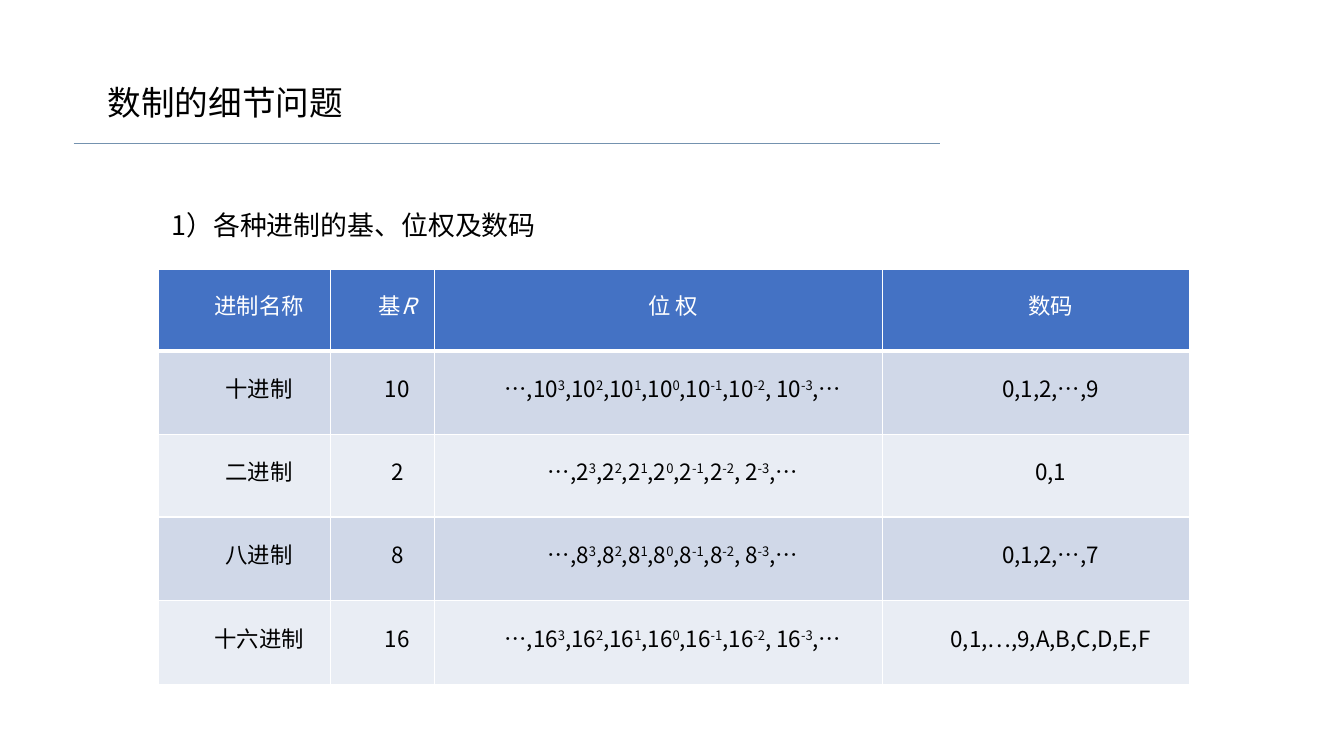
from dataclasses import dataclass

from lxml.etree import SubElement
from pptx import Presentation
from pptx.dml.color import RGBColor
from pptx.enum.shapes import MSO_CONNECTOR
from pptx.enum.text import MSO_ANCHOR, MSO_AUTO_SIZE, PP_ALIGN
from pptx.oxml.ns import qn
from pptx.slide import Slide
from pptx.table import _Cell
from pptx.text.text import _Paragraph
from pptx.util import Inches, Pt


@dataclass(frozen=True)
class Theme:
    font: str = "Noto Sans CJK SC"
    text: str = "000000"
    white: str = "FFFFFF"
    header: str = "4472C4"
    bands: tuple[str, str] = ("D0D8E8", "E9EDF4")
    rule: str = "7492AF"
    heading_size: float = 24
    cell_size: float = 16
    cell_leading: float = 15.7
    thin: float = 1
    thick: float = 3


@dataclass(frozen=True)
class Span:
    text: str
    italic: bool = False
    raised: bool = False


@dataclass(frozen=True)
class NumberSystem:
    name: str
    base: int
    digits: str

    def weights(self) -> list[Span]:
        """Spans for the place weights from base³ down to base⁻³."""
        spans = []
        for power in range(3, -4, -1):
            lead = {3: "…,", -3: ", "}.get(power, ",")
            spans += [Span(f"{lead}{self.base}"), Span(str(power), raised=True)]
        return spans + [Span(",…")]

    def cells(self) -> list[list[Span]]:
        return [[Span(self.name)], [Span(str(self.base))], self.weights(), [Span(self.digits)]]


THEME = Theme()
HEADER = [[Span("进制名称")], [Span("基"), Span("R", italic=True)], [Span("位 权")], [Span("数码")]]
SYSTEMS = [
    NumberSystem("十进制", 10, "0,1,2,…,9"),
    NumberSystem("二进制", 2, "0,1"),
    NumberSystem("八进制", 8, "0,1,2,…,7"),
    NumberSystem("十六进制", 16, "0,1,…,9,A,B,C,D,E,F"),
]
COLUMN_WIDTHS = (1.71, 1.03, 4.44, 3.05)
ROW_HEIGHTS = (0.81, 0.83, 0.82, 0.83, 0.83)


def add_span(para: _Paragraph, span: Span, size: float, color: str) -> None:
    run = para.add_run()
    run.text = span.text
    run.font.size = Pt(size)
    run.font.bold = False
    run.font.italic = span.italic
    run.font.color.rgb = RGBColor.from_string(color)
    run.font.name = THEME.font
    properties = run._r.get_or_add_rPr()
    SubElement(properties, qn("a:ea")).set("typeface", THEME.font)
    if span.raised:
        properties.set("baseline", "30000")


def add_border(cell: _Cell, side: str, width: float) -> None:
    line = SubElement(cell._tc.get_or_add_tcPr(), qn(f"a:ln{side}"), w=str(Pt(width)))
    fill = SubElement(line, qn("a:solidFill"))
    SubElement(fill, qn("a:srgbClr"), val=THEME.white)


def fill_cell(cell: _Cell, spans: list[Span], row: int) -> None:
    cell.vertical_anchor = MSO_ANCHOR.MIDDLE
    cell.margin_left = cell.margin_right = Inches(0.07)
    cell.margin_top = cell.margin_bottom = 0

    # The header is set off by a thick line below it
    for side in "LRTB":
        under_header = (row, side) in ((0, "B"), (1, "T"))
        add_border(cell, side, THEME.thick if under_header else THEME.thin)
    cell.fill.solid()
    background = THEME.bands[(row - 1) % 2] if row else THEME.header
    cell.fill.fore_color.rgb = RGBColor.from_string(background)

    para = cell.text_frame.paragraphs[0]
    para.alignment = PP_ALIGN.CENTER
    para.line_spacing = Pt(THEME.cell_leading)
    para._p.get_or_add_pPr().set("indent", str(Inches(0.29)))
    for span in spans:
        add_span(para, span, THEME.cell_size, THEME.text if row else THEME.white)


def add_systems_table(page: Slide) -> None:
    rows = [HEADER] + [system.cells() for system in SYSTEMS]
    table = page.shapes.add_table(
        len(rows), len(COLUMN_WIDTHS), Inches(1.57), Inches(2.67),
        Inches(sum(COLUMN_WIDTHS)), Inches(sum(ROW_HEIGHTS)),
    ).table
    for column, width in zip(table.columns, COLUMN_WIDTHS):
        column.width = Inches(width)
    for row, height in zip(table.rows, ROW_HEIGHTS):
        row.height = Inches(height)
    for row_index, row_cells in enumerate(rows):
        for column_index, spans in enumerate(row_cells):
            fill_cell(table.cell(row_index, column_index), spans, row_index)


def add_rule(page: Slide) -> None:
    rule = page.shapes.add_connector(
        MSO_CONNECTOR.STRAIGHT, Inches(0.73), Inches(1.42), Inches(9.32), Inches(1.42)
    )
    rule.line.color.rgb = RGBColor.from_string(THEME.rule)
    rule.line.width = Pt(0.5)
    SubElement(rule._element.spPr, qn("a:effectLst"))


def set_title(page: Slide, text: str) -> None:
    title = page.shapes.title
    title.left, title.top = Inches(1.6), Inches(1.09)
    title.width, title.height = Inches(7.26), Inches(1.37)
    frame = title.text_frame
    frame.word_wrap = True
    frame.auto_size = MSO_AUTO_SIZE.NONE
    frame.vertical_anchor = MSO_ANCHOR.BOTTOM
    para = frame.paragraphs[0]
    para.alignment = PP_ALIGN.LEFT
    para.line_spacing = 0.9
    add_span(para, Span(text), THEME.heading_size, THEME.text)
    para.runs[0]._r.get_or_add_rPr().set("cap", "small")


def add_topic(page: Slide, text: str) -> None:
    box = page.shapes.add_textbox(Inches(0.97), Inches(0.76), Inches(3.6), Inches(0.5))
    box.text_frame.word_wrap = True
    box.text_frame.auto_size = MSO_AUTO_SIZE.SHAPE_TO_FIT_TEXT
    add_span(box.text_frame.paragraphs[0], Span(text), THEME.heading_size, THEME.text)


def main() -> None:
    deck = Presentation()
    deck.slide_width, deck.slide_height = Inches(13.33), Inches(7.5)
    page = deck.slides.add_slide(deck.slide_layouts[5])

    # Headings
    add_rule(page)
    set_title(page, "1）各种进制的基、位权及数码")
    add_topic(page, "数制的细节问题")

    # Number systems
    add_systems_table(page)
    deck.save("out.pptx")


if __name__ == "__main__":
    main()
